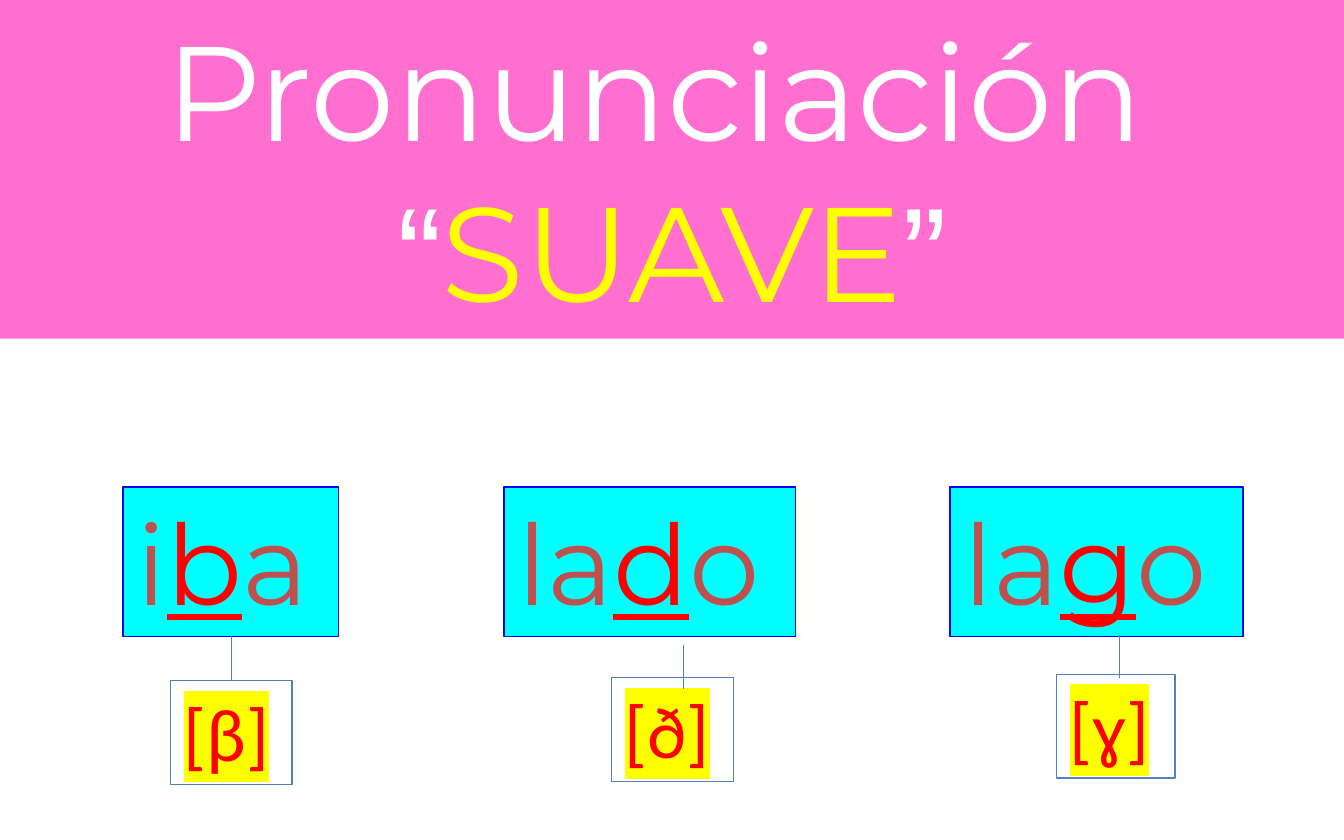
"""Build the slide on the soft Spanish pronunciation of b, d and g."""
import pptx
import pptx.dml.color
import pptx.enum.shapes
import pptx.enum.text
import pptx.oxml.ns
import pptx.util
from lxml import etree

Pt = pptx.util.Pt
PINK, CYAN, YELLOW, WHITE = "FF6FCF", "00FFFF", "FFFF00", "FFFFFF"
RED, BRICK, BLUE, STEEL = "FF0000", "C0504D", "0000FF", "4F81BD"


def rgb(value):
    return pptx.dml.color.RGBColor.from_string(value)


def add_child(parent, tag):
    return etree.SubElement(parent, pptx.oxml.ns.qn(tag))


class Deck:
    def __init__(self, width, height):
        self.prs = pptx.Presentation()
        self.prs.slide_width, self.prs.slide_height = Pt(width), Pt(height)
        self.s = self.prs.slides.add_slide(self.prs.slide_layouts[6])
        self.title = {"name": "Montserrat", "size": Pt(72)}
        self.quote = {"name": "Arial", "size": Pt(72)}
        self.word = {"name": "Montserrat", "size": Pt(60)}
        self.sound = {"name": "Calibri", "size": Pt(40)}

    def run(self, p, text, style, color, highlight=None):
        r = p.add_run()
        r.text = text
        r.font.color.rgb = rgb(color)
        if highlight:
            mark = add_child(r.font._element, "a:highlight")
            add_child(mark, "a:srgbClr").set("val", highlight)
        for key, value in style.items():
            setattr(r.font, key, value)

    def box(self, box, paragraphs, fill=None, line=None, wrap=False, align="LEFT"):
        sp = self.s.shapes.add_shape(
            pptx.enum.shapes.MSO_SHAPE.RECTANGLE, *map(Pt, box))
        sp.shadow.inherit = False
        if fill:
            sp.fill.solid()
            sp.fill.fore_color.rgb = rgb(fill)
        else:
            sp.fill.background()
        if line:
            sp.line.color.rgb = rgb(line)
            sp.line.width = Pt(0.75)
        else:
            sp.line.fill.background()
        tf = sp.text_frame
        tf.word_wrap = wrap
        tf.vertical_anchor = pptx.enum.text.MSO_ANCHOR.TOP
        for i, runs in enumerate(paragraphs):
            p = tf.add_paragraph() if i else tf.paragraphs[0]
            p.alignment = pptx.enum.text.PP_ALIGN[align]
            for item in runs:
                self.run(p, *item)

    def stem(self, x, top, length):
        sp = self.s.shapes.add_connector(
            pptx.enum.shapes.MSO_CONNECTOR.STRAIGHT,
            Pt(x), Pt(top), Pt(x), Pt(top + length))
        sp.line.color.rgb = rgb(STEEL)
        sp.line.width = Pt(0.5)
        add_child(sp._element.spPr, "a:effectLst")


def main():
    d = Deck(720, 450)
    d.box((0, 0, 720, 181.4), [
        [("Pronunciación ", d.title, WHITE)],
        [("“", d.quote, WHITE), ("SUAVE", d.title, YELLOW), ("”", d.quote, WHITE)],
    ], fill=PINK, wrap=True, align="CENTER")

    examples = [
        (("i", "b", "a"), (66, 115.5), "[β]", (91.4, 364.5, 65), (124, 341)),
        (("la", "d", "o"), (270, 156.2), "[ð]", (327.6, 363, 65.5), (366, 345.6)),
        (("la", "g", "o"), (509, 157), "[ɣ]", (566, 361.2, 63.4), (599.8, 340)),
    ]
    soft = {**d.word, "underline": True}
    for (start, letter, end), (x, width), sound, (sx, sy, sw), stem in examples:
        d.box((x, 261, width, 80), [[
            (start, d.word, BRICK), (letter, soft, RED), (end, d.word, BRICK),
        ]], fill=CYAN, line=BLUE)
        d.box((sx, sy, sw, 55.7), [[(sound, d.sound, RED, YELLOW)]], line=STEEL)
        d.stem(*stem, 23.4)

    d.prs.save("out.pptx")


if __name__ == "__main__":
    main()
